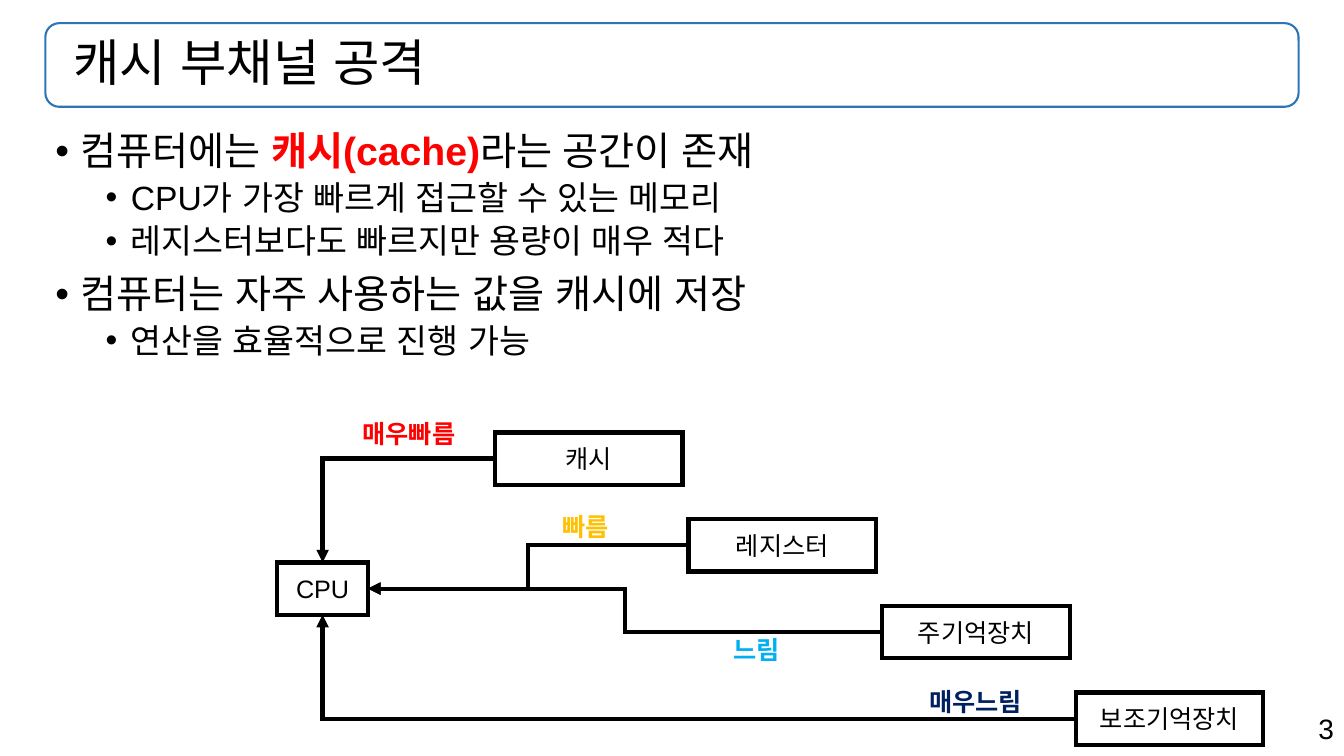
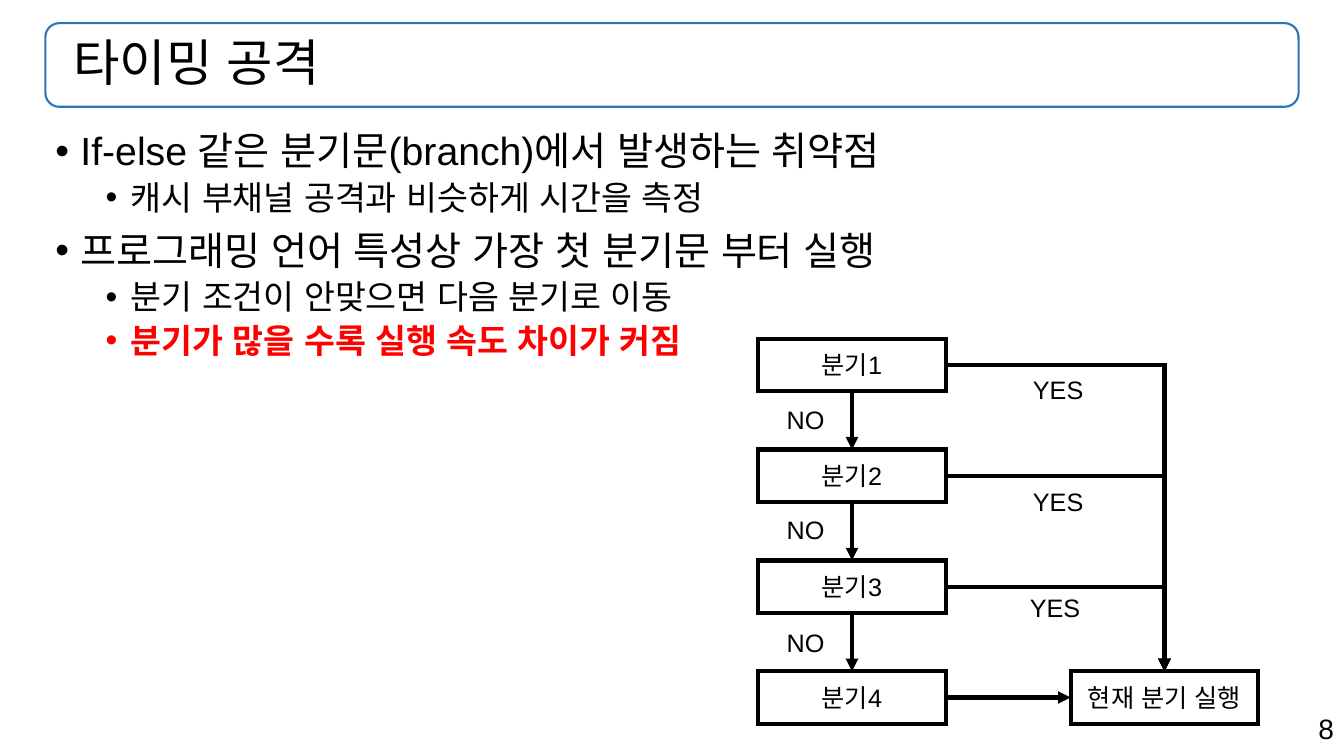
import pptx
import pptx.dml.color
import pptx.enum.shapes
import pptx.enum.text
import pptx.oxml.ns
import pptx.util
from lxml import etree

PX = 9144  # EMU in one px, 100 px to the inch
ALIGN = pptx.enum.text.PP_ALIGN
SHAPE = pptx.enum.shapes.MSO_SHAPE
LINK = pptx.enum.shapes.MSO_CONNECTOR
TOP, LEFT, BOTTOM, RIGHT = range(4)


class Theme:
    font = "Arial"
    ink, frame = "000000", "2E75B6"
    red, gold, sky, navy = "FF0000", "FFC000", "00B0F0", "002060"
    title, page, label = 36, 20, 18
    body = (28, 24)      # by level
    space = (10, 5)      # before, by level
    indent = (25, 75)    # px, by level
    hang = 25
    lead = 0.9
    thin, thick = 1.5, 3


# Content: body lines are (level, runs), a run is (text, colour, bold)
CACHE = {
    "title": "캐시 부채널 공격",
    "page": "3",
    "body": [
        (0, [("컴퓨터에는 ",), ("캐시(cache)", Theme.red, True), ("라는 공간이 존재",)]),
        (1, [("CPU가 가장 빠르게 접근할 수 있는 메모리",)]),
        (1, [("레지스터보다도 빠르지만 용량이 매우 적다",)]),
        (0, [("컴퓨터는 자주 사용하는 값을 캐시에 저장",)]),
        (1, [("연산을 효율적으로 진행 가능",)]),
    ],
}
TIMING = {
    "title": "타이밍 공격",
    "page": "8",
    "body": [
        (0, [("If-else 같은 분기문(branch)에서 발생하는 취약점",)]),
        (1, [("캐시 부채널 공격과 비슷하게 시간을 측정",)]),
        (0, [("프로그래밍 언어 특성상 가장 첫 분기문 부터 실행",)]),
        (1, [("분기 조건이 안맞으면 다음 분기로 이동",)]),
        (1, [("분기가 많을 수록 실행 속도 차이가 커짐", Theme.red, True)]),
    ],
}
# Memory: name, side of the CPU it reaches, bends on the way
STORES = [
    ("캐시", TOP, 1),
    ("레지스터", RIGHT, 2),
    ("주기억장치", RIGHT, 2),
    ("보조기억장치", BOTTOM, 1),
]
# Labels: text, left, top, width, colour
SPEEDS = [
    ("매우빠름", 345, 410, 121, Theme.red),
    ("빠름", 545, 502, 71, Theme.gold),
    ("느림", 715, 624, 71, Theme.sky),
    ("매우느림", 907, 676, 121, Theme.navy),
]
TESTS = ["분기1", "분기2", "분기3", "분기4"]
GOAL = "현재 분기 실행"
ANSWERS = [
    ("NO", 770, 396, 58), ("NO", 770, 505, 58), ("NO", 770, 617, 58),
    ("YES", 1014, 366, 71), ("YES", 1014, 478, 71), ("YES", 1011, 583, 71),
]
BOX = (186, 52)


def px(*nums):
    return [pptx.util.Emu(n * PX) for n in nums]


def rgb(code):
    return pptx.dml.color.RGBColor.from_string(code)


def add(node, tag, **attrs):
    return etree.SubElement(node, pptx.oxml.ns.qn(tag), attrs)


def write(para, text, size, color=Theme.ink, bold=False):
    run = para.add_run()
    run.text = text
    font = run.font
    font.name = Theme.font
    add(run._r.get_or_add_rPr(), "a:ea", typeface=Theme.font)
    font.size = pptx.util.Pt(size)
    font.bold = bold
    font.color.rgb = rgb(color)


def stroke(part, color, width):
    part.line.color.rgb = rgb(color)
    part.line.width = pptx.util.Pt(width)
    edge = part._element.spPr.get_or_add_ln()
    add(edge, "a:miter", lim="800000")
    return edge


def panel(slide, kind, area, color, width):
    shape = slide.shapes.add_shape(kind, *px(*area))
    shape.shadow.inherit = False
    shape.fill.background()
    stroke(shape, color, width)
    frame = shape.text_frame
    frame.word_wrap = True
    frame.vertical_anchor = pptx.enum.text.MSO_ANCHOR.MIDDLE
    return shape


def box(slide, text, left, top, size=BOX):
    shape = panel(slide, SHAPE.RECTANGLE, (left, top, *size), Theme.ink, Theme.thick)
    para = shape.text_frame.paragraphs[0]
    para.alignment = ALIGN.CENTER
    write(para, text, Theme.label)
    return shape


def label(slide, text, left, top, width, color=Theme.ink, bold=False):
    frame = slide.shapes.add_textbox(*px(left, top, width, 40)).text_frame
    frame.word_wrap = False
    para = frame.paragraphs[0]
    para.alignment = ALIGN.CENTER
    write(para, text, Theme.label, color, bold)


def arrow(slide, start, out, end, into, bends=0):
    kind = LINK.ELBOW if bends else LINK.STRAIGHT
    link = slide.shapes.add_connector(kind, 0, 0, 0, 0)
    link.begin_connect(start, out)
    link.end_connect(end, into)
    add(stroke(link, Theme.ink, Theme.thick), "a:tailEnd", type="triangle")
    props = link._element.spPr
    if bends == 1:
        props.find(pptx.oxml.ns.qn("a:prstGeom")).set("prst", "bentConnector2")
    add(props, "a:effectLst")


def base(deck, data):
    slide = deck.slides.add_slide(deck.slide_layouts[6])

    # Page number
    frame = slide.shapes.add_textbox(*px(943, 701, 390, 44)).text_frame
    frame.word_wrap = True
    para = frame.paragraphs[0]
    para.alignment = ALIGN.RIGHT
    write(para, data["page"], Theme.page)

    # Title band
    band = panel(slide, SHAPE.ROUNDED_RECTANGLE, (45, 23, 1243, 83),
                 Theme.frame, Theme.thin)
    band.text_frame.margin_left = px(24)[0]
    para = band.text_frame.paragraphs[0]
    para.alignment = ALIGN.LEFT
    para.line_spacing = Theme.lead
    write(para, data["title"], Theme.title)

    # Bullets
    frame = slide.shapes.add_textbox(*px(45, 126, 1243, 553)).text_frame
    frame.word_wrap = True
    for i, (level, runs) in enumerate(data["body"]):
        para = frame.add_paragraph() if i else frame.paragraphs[0]
        props = para._p.get_or_add_pPr()
        props.set("marL", str(Theme.indent[level] * PX))
        props.set("indent", str(-Theme.hang * PX))
        add(props, "a:buFont", typeface=Theme.font)
        add(props, "a:buChar", char="•")
        para.level = level
        para.line_spacing = Theme.lead
        para.space_before = pptx.util.Pt(Theme.space[level] if i else 0)
        for text, *look in runs:
            write(para, text, Theme.body[level], *look)
    return slide


def cache(deck):
    slide = base(deck, CACHE)
    cpu = box(slide, "CPU", 275, 558, (90, 52))
    for i, (name, side, bends) in enumerate(STORES):
        store = box(slide, name, 491 + 192 * i, 429 + 86 * i)
        arrow(slide, store, LEFT, cpu, side, bends)
    for item in SPEEDS:
        label(slide, *item, bold=True)


def timing(deck):
    slide = base(deck, TIMING)
    tests = [box(slide, name, 752, 336 + 110 * i) for i, name in enumerate(TESTS)]
    goal = box(slide, GOAL, 1062, 666)
    for test, after in zip(tests, tests[1:]):
        arrow(slide, test, BOTTOM, after, TOP)
        arrow(slide, test, RIGHT, goal, TOP, 1)
    arrow(slide, tests[-1], RIGHT, goal, LEFT)
    for item in ANSWERS:
        label(slide, *item)


def main():
    deck = pptx.Presentation()
    deck.slide_width, deck.slide_height = px(1333, 750)
    cache(deck)
    timing(deck)
    deck.save("out.pptx")


if __name__ == "__main__":
    main()
